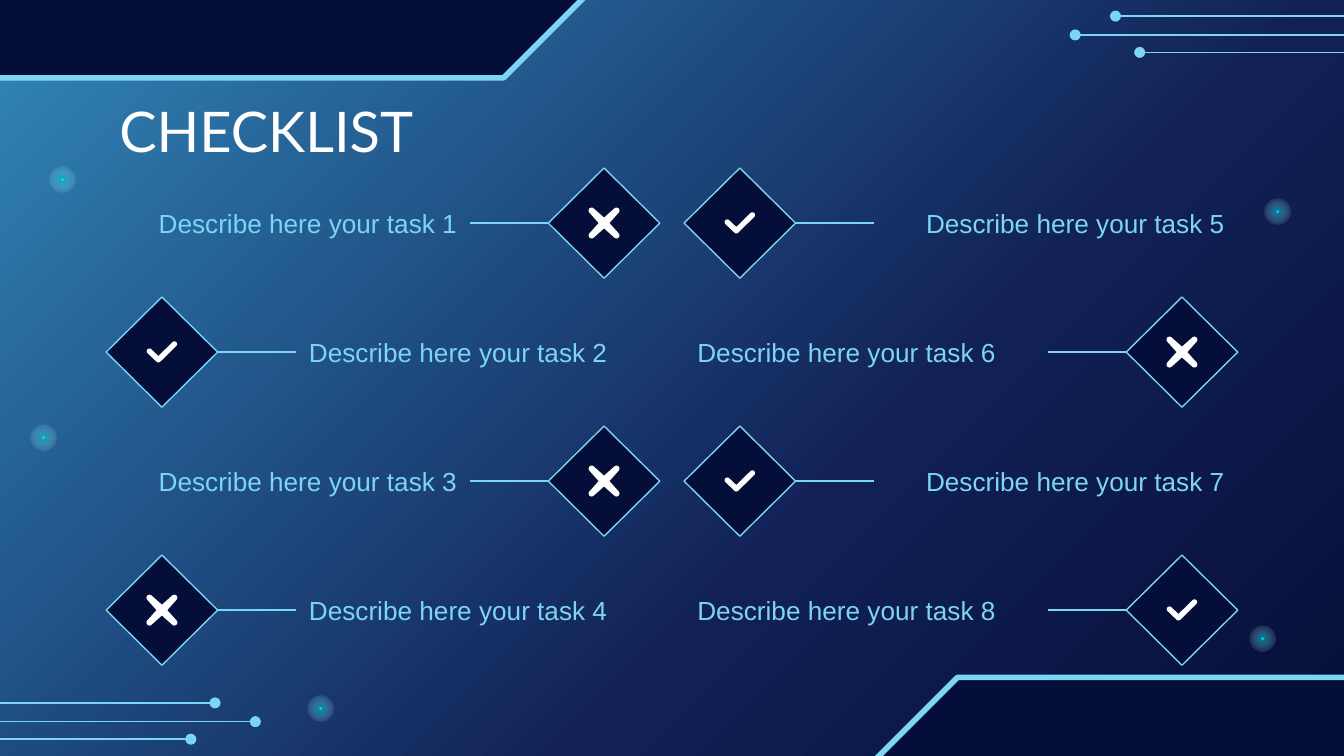
from math import cos, radians, sin, sqrt

from lxml.etree import SubElement
from pptx import Presentation
from pptx.dml.color import RGBColor
from pptx.enum.shapes import MSO_CONNECTOR as Connector, MSO_SHAPE as Preset
from pptx.enum.text import MSO_ANCHOR as Anchor, PP_ALIGN as Align
from pptx.oxml.ns import qn
from pptx.util import Inches, Pt

COLORS = {
    "navy": "050E38",
    "indigo": "112055",
    "blue": "3186B9",
    "sky": "7CD5F3",
    "cyan": "21FFFF",
    "teal": "05D8E7",
    "white": "FFFFFF",
}
# Gradient stops: position, colour, opacity (all in percent)
BACKGROUND_STOPS = [(0, "blue", 100), (64, "indigo", 100), (100, "navy", 100)]
GLOW_STOPS = [(0, "cyan", 100), (9, "teal", 48), (69, "white", 0), (100, "white", 0)]

GLOWS = [(9.3, 4.66), (0.37, 1.24), (0.23, 3.16), (9.41, 1.48), (2.29, 5.18)]
CIRCUIT_LENGTH = 2.31
CIRCUITS_RIGHT = [(8, 0.26), (8.48, 0.39), (8.3, 0.12)]
CIRCUITS_LEFT = [(1.9, 5.37), (1.42, 5.5), (1.6, 5.23)]

# Whether each task is done, column by column
TASKS_DONE = [False, True, False, False, True, False, True, True]
ROWS = 4
COLUMN_LEFTS = [0.79, 5.09]
FIRST_ROW, ROW_STEP = 1.66, 0.96
TEXT_WIDTH, TEXT_HEIGHT = 2.71, 0.33
DIAMOND_WIDTH, DIAMOND_HEIGHT = 0.83, 0.82
LINK_WIDTH = 0.58


def rgb(name):
    return RGBColor.from_string(COLORS[name])


def set_gradient(owner, fill, stops, angle=None):
    """Fill with stops along an angle, or from the centre outward without one."""
    fill.gradient()
    gradient = owner._element.find(".//" + qn("a:gradFill"))
    for child in list(gradient):
        gradient.remove(child)
    stop_list = SubElement(gradient, qn("a:gsLst"))
    for position, name, opacity in stops:
        stop = SubElement(stop_list, qn("a:gs"), pos=str(position * 1000))
        color = SubElement(stop, qn("a:srgbClr"), val=COLORS[name])
        if opacity < 100:
            SubElement(color, qn("a:alpha"), val=str(opacity * 1000))
    if angle is not None:
        SubElement(gradient, qn("a:lin"), ang=str(angle * 60000), scaled="0")
    else:
        circle = SubElement(gradient, qn("a:path"), path="circle")
        SubElement(circle, qn("a:fillToRect"), l="50000", t="50000", r="50000", b="50000")


def add_preset(page, preset, left, top, width, height, line_width):
    shape = page.shapes.add_shape(
        preset, Inches(left), Inches(top), Inches(width), Inches(height))
    shape.shadow.inherit = False
    shape.fill.solid()
    shape.fill.fore_color.rgb = rgb("navy")
    shape.line.color.rgb = rgb("sky")
    shape.line.width = Pt(line_width)
    return shape


def add_panel(page, left, top, rotation=0):
    panel = add_preset(page, Preset.SNIP_2_SAME_RECTANGLE, left, top, 5.19, 1.41, 3)
    panel.adjustments[0] = 0.5
    panel.adjustments[1] = 0
    panel.rotation = rotation


def add_line(page, start_x, end_x, y):
    line = page.shapes.add_connector(
        Connector.STRAIGHT, Inches(start_x), Inches(y), Inches(end_x), Inches(y))
    line.line.color.rgb = rgb("sky")
    line.line.width = Pt(0.75)
    SubElement(line._element.spPr, qn("a:effectLst"))
    return line


def add_circuit(page, start_x, end_x, y):
    """Line with a dot at its end."""
    circuit = add_line(page, start_x, end_x, y)
    SubElement(circuit.line._get_or_add_ln(), qn("a:tailEnd"), type="oval")


def add_glow(page, left, top):
    glow = page.shapes.add_shape(
        Preset.OVAL, Inches(left), Inches(top), Inches(0.19), Inches(0.19))
    glow.shadow.inherit = False
    glow.rotation = 14.6
    glow.line.fill.background()
    set_gradient(glow, glow.fill, GLOW_STOPS)


def add_text(page, text, left, top, width, height, size, font, color, align=Align.LEFT):
    box = page.shapes.add_textbox(
        Inches(left), Inches(top), Inches(width), Inches(height))
    frame = box.text_frame
    frame.word_wrap = True
    frame.vertical_anchor = Anchor.MIDDLE
    frame.margin_left = frame.margin_right = Inches(0.1)
    frame.margin_top = frame.margin_bottom = Inches(0.1)
    frame.text = text
    para = frame.paragraphs[0]
    para.alignment = align
    span = para.runs[0]
    span.font.size = Pt(size)
    span.font.name = font
    span.font.color.rgb = rgb(color)
    return box


def arc(x, y, radius, start, end):
    """Points of an arc, with angles in degrees, clockwise from the right."""
    angles = [radians(start + (end - start) * step / 8) for step in range(9)]
    return [(x + radius * cos(a), y + radius * sin(a)) for a in angles]


def cross_outline():
    """Cross around the origin, in hundredths of an inch."""
    points = []
    for turn in range(0, 360, 90):
        middle = turn + 45
        x, y = (9.25 * sqrt(2) * f(radians(middle)) for f in (cos, sin))
        points += arc(x, y, 2.25, middle - 90, middle + 90)
        points.append((4 * cos(radians(turn + 90)), 4 * sin(radians(turn + 90))))
    return points


def check_outline():
    """Check mark around the origin, in hundredths of an inch."""
    radius = 2
    return (arc(9.3, -6, radius, -135, 45)
            + arc(-2.6, 5.7, radius, 45, 135)
            + arc(-9.3, -0.7, radius, 135, 315)
            + [(-2.6, 5.7 - radius * sqrt(2))])


def add_mark(page, outline, x, y):
    points = [(Inches(x + dx / 100), Inches(y + dy / 100)) for dx, dy in outline]
    builder = page.shapes.build_freeform(*points[0])
    builder.add_line_segments(points[1:], close=True)
    mark = builder.convert_to_shape()
    mark.shadow.inherit = False
    mark.fill.solid()
    mark.fill.fore_color.rgb = rgb("white")
    mark.line.fill.background()


def add_task(page, number, done):
    column, row = divmod(number - 1, ROWS)
    left = COLUMN_LEFTS[column]
    y = FIRST_ROW + row * ROW_STEP
    diamond_last = (column + row) % 2 == 0
    if diamond_last:
        text_left, diamond_left = left, left + TEXT_WIDTH + LINK_WIDTH
    else:
        text_left, diamond_left = left + DIAMOND_WIDTH + LINK_WIDTH, left
    box = add_text(page, f"Describe here your task {number}", text_left,
                   y - TEXT_HEIGHT / 2, TEXT_WIDTH, TEXT_HEIGHT, 14, "Arial", "sky",
                   Align.LEFT if row % 2 else Align.RIGHT)
    diamond = add_preset(page, Preset.DIAMOND, diamond_left, y - DIAMOND_HEIGHT / 2,
                         DIAMOND_WIDTH, DIAMOND_HEIGHT, 0.75)
    link = add_line(page, text_left, diamond_left, y)
    link.begin_connect(box, 3 if diamond_last else 1)
    link.end_connect(diamond, 1 if diamond_last else 3)
    add_mark(page, check_outline() if done else cross_outline(),
             diamond_left + DIAMOND_WIDTH / 2, y)


def main():
    deck = Presentation()
    deck.slide_width = Inches(10)
    deck.slide_height = deck.slide_width * 9 // 16
    page = deck.slides.add_slide(deck.slide_layouts[6])
    set_gradient(page, page.background.fill, BACKGROUND_STOPS, 45)

    add_panel(page, 6.42, 5.04)
    add_panel(page, -0.74, -0.83, 180)
    for x, y in CIRCUITS_RIGHT:
        add_circuit(page, x + CIRCUIT_LENGTH, x, y)
    for x, y in CIRCUITS_LEFT:
        add_circuit(page, x - CIRCUIT_LENGTH, x, y)
    for left, top in GLOWS:
        add_glow(page, left, top)

    add_text(page, "CHECKLIST", 0.79, 0.65, 8.43, 0.63, 30, "Lato", "white")
    for number, done in enumerate(TASKS_DONE, 1):
        add_task(page, number, done)
    deck.save("out.pptx")


if __name__ == "__main__":
    main()
